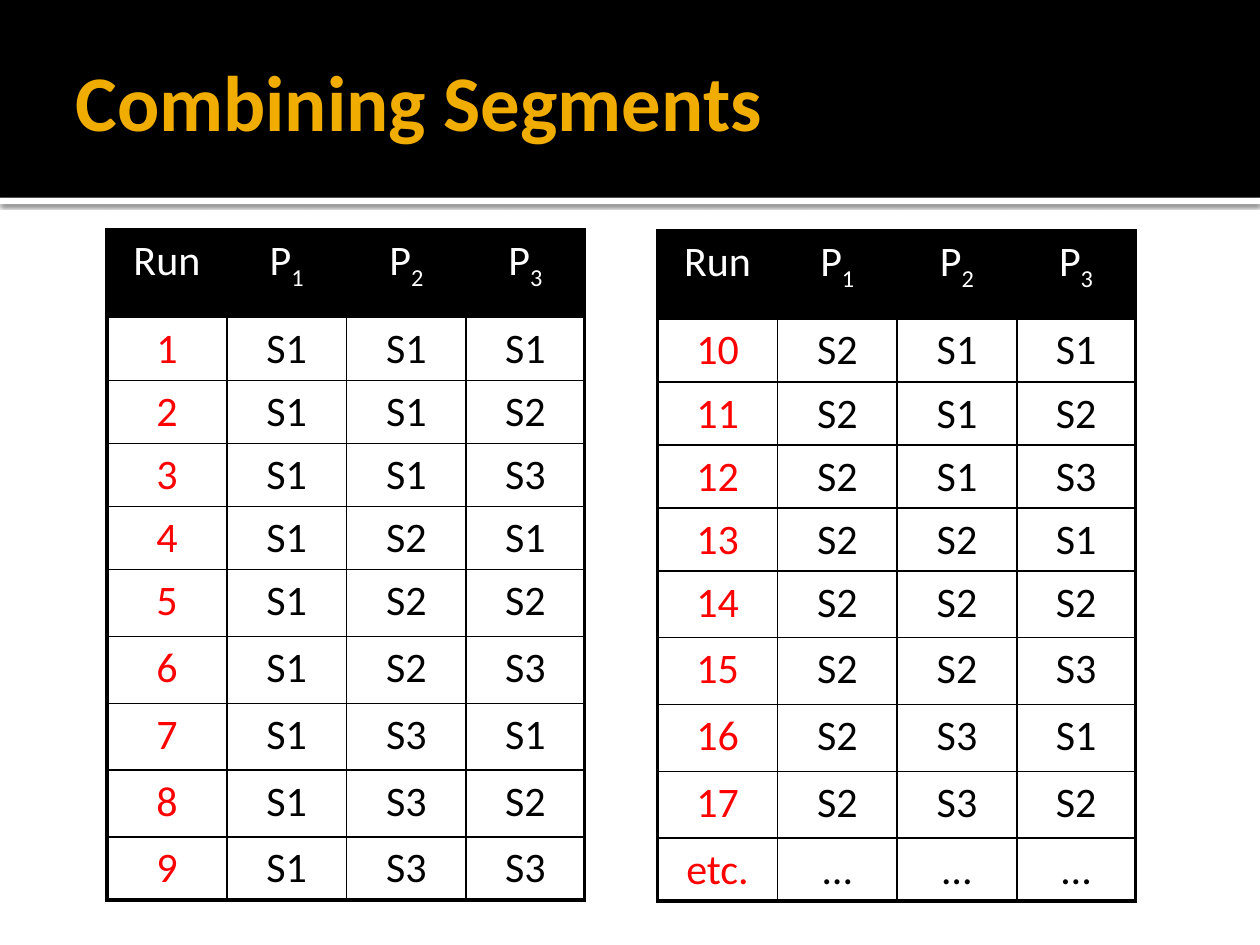
from itertools import product

from lxml import etree
from pptx import Presentation
from pptx import util as u
from pptx.dml.color import RGBColor
from pptx.enum import shapes, text
from pptx.oxml import ns

COLORS = {"black": "000000", "white": "FFFFFF", "gold": "F0AD00", "red": "FF0000"}
FONT = "Calibri"
COL_WIDTHS = [0.95, 0.95, 0.95, 0.94]
ROW_HEIGHTS = [0.7, 0.49, 0.48, 0.49, 0.48, 0.53, 0.53, 0.53, 0.53, 0.49]
THIN, THICK = 1, 2.25
HEADER = ["Run", "P1", "P2", "P3"]


def rgb(name):
    return RGBColor.from_string(COLORS[name])


def set_attrs(obj, values):
    for name, value in values.items():
        setattr(obj, name, value)


def add_run(p, content, size, color, bold=False):
    r = p.add_run()
    r.text = content
    set_attrs(r.font, {"name": FONT, "size": u.Pt(size), "bold": bold})
    r.font.color.rgb = rgb(color)
    return r


def add_bar(slide, left, top, width, height, color):
    sp = slide.shapes.add_shape(
        shapes.MSO_SHAPE.RECTANGLE, *map(u.Inches, (left, top, width, height)))
    sp.fill.solid()
    sp.fill.fore_color.rgb = rgb(color)
    sp.line.fill.background()
    sp.shadow.inherit = False
    return sp


def add_drop_shadow(sp):
    effects = sp._element.spPr.find(ns.qn("a:effectLst"))
    shadow = etree.SubElement(
        effects, ns.qn("a:outerShdw"), blurRad=str(u.Pt(2.5)),
        dist=str(u.Pt(0.8)), dir="5400000", algn="t", rotWithShape="0")
    color = etree.SubElement(shadow, ns.qn("a:srgbClr"), val=COLORS["black"])
    etree.SubElement(color, ns.qn("a:alpha"), val="60000")


def add_title_band(slide, left, top, width, height, title):
    add_drop_shadow(add_bar(slide, left, top + height, width, 0.05, "white"))
    add_bar(slide, left, top, width, height, "black")
    box = slide.shapes.add_textbox(
        *map(u.Inches, (left + 0.5, top + 0.17, width - 1.5, 1.25)))
    tf = box.text_frame
    set_attrs(tf, {"word_wrap": True, "vertical_anchor": text.MSO_ANCHOR.MIDDLE,
                   "margin_left": u.Inches(0.1), "margin_right": u.Inches(0.05)})
    add_run(tf.paragraphs[0], title, 45, "gold", bold=True)


def set_borders(cell, widths):
    """Draw black borders; widths maps each of L, R, T, B to points."""
    tc_pr = cell._tc.get_or_add_tcPr()
    for side, width in widths.items():
        ln = etree.SubElement(tc_pr, ns.qn(f"a:ln{side}"), w=str(u.Pt(width)))
        fill = etree.SubElement(ln, ns.qn("a:solidFill"))
        etree.SubElement(fill, ns.qn("a:srgbClr"), val=COLORS["black"])


def fill_cell(cell, value, is_header, is_run):
    p = cell.text_frame.paragraphs[0]
    p.alignment = text.PP_ALIGN.CENTER
    if is_header:
        cell.fill.solid()
        cell.fill.fore_color.rgb = rgb("black")
    else:
        cell.fill.background()
    color = "white" if is_header else "red" if is_run else "black"
    if is_header and not is_run:
        add_run(p, value[0], 24, color)
        r = add_run(p, value[1:], 24, color)
        r.font._element.set("baseline", "-25000")
    else:
        add_run(p, value, 24, color)


def add_run_table(slide, left, top, rows):
    n_rows, n_cols = len(rows), len(COL_WIDTHS)
    table = slide.shapes.add_table(
        n_rows, n_cols, u.Inches(left), u.Inches(top),
        u.Inches(sum(COL_WIDTHS)), u.Inches(sum(ROW_HEIGHTS))).table
    set_attrs(table, {"first_row": False, "horz_banding": False})
    for col, width in zip(table.columns, COL_WIDTHS):
        col.width = u.Inches(width)
    for row, height in zip(table.rows, ROW_HEIGHTS):
        row.height = u.Inches(height)
    for i, j in product(range(n_rows), range(n_cols)):
        outer = {"L": j == 0, "R": j == n_cols - 1,
                 "T": i == 0, "B": i == n_rows - 1}
        cell = table.cell(i, j)
        set_borders(cell, {side: THICK if edge else THIN
                           for side, edge in outer.items()})
        fill_cell(cell, rows[i][j], is_header=i == 0, is_run=j == 0)


def main():
    prs = Presentation()
    set_attrs(prs, {"slide_width": u.Inches(10), "slide_height": u.Inches(7.5)})
    slide = prs.slides.add_slide(prs.slide_layouts[6])
    slide.background.fill.solid()
    slide.background.fill.fore_color.rgb = rgb("white")
    add_title_band(slide, 0, 0, 10, 1.57, "Combining Segments")

    combos = product(["S1", "S2", "S3"], repeat=3)
    runs = [[str(n), *combo] for n, combo in enumerate(combos, start=1)]
    add_run_table(slide, 0.85, 1.82, [HEADER, *runs[:9]])
    add_run_table(slide, 5.22, 1.83, [HEADER, *runs[9:17], ["etc.", "…", "…", "…"]])
    prs.save("out.pptx")


if __name__ == "__main__":
    main()
